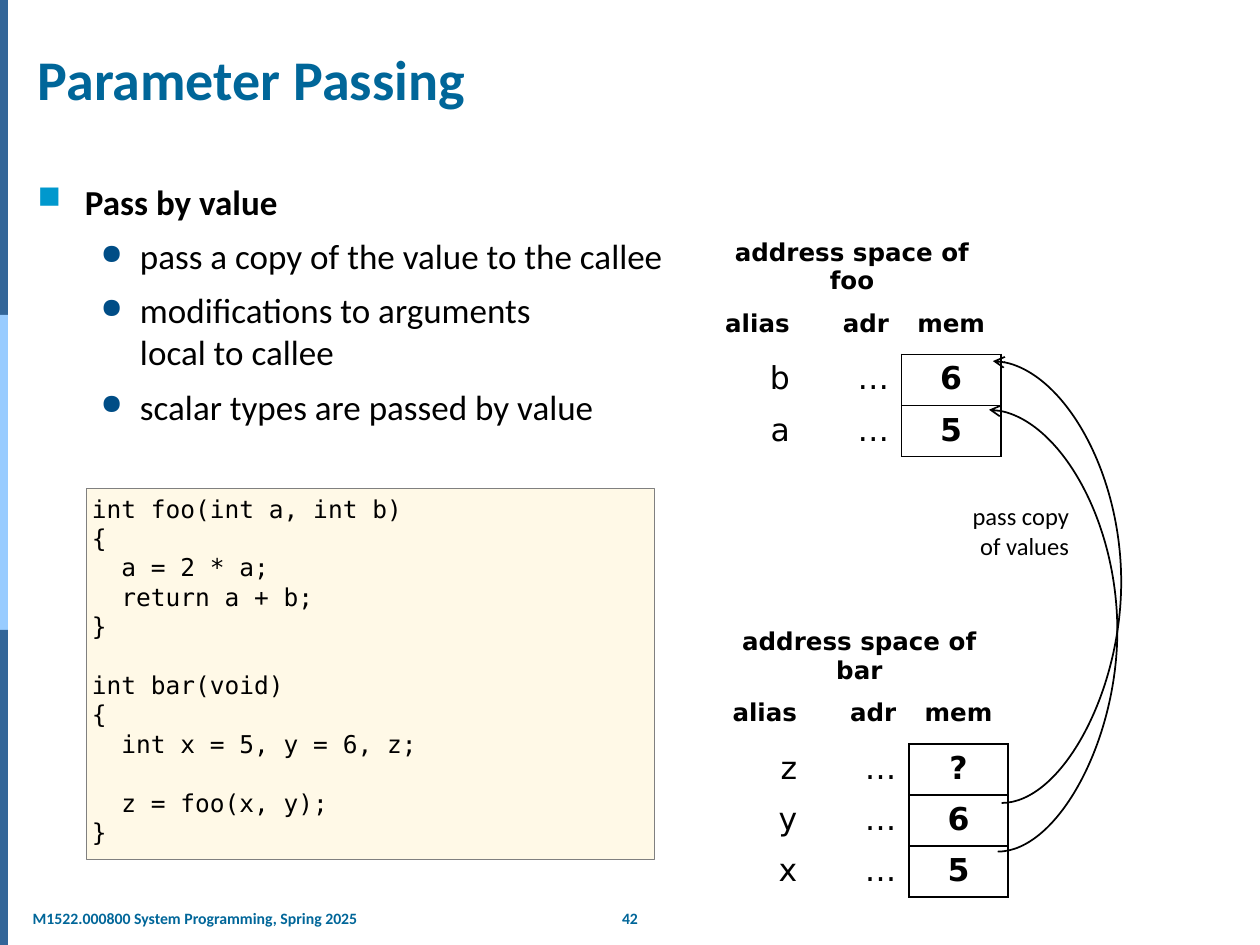
from lxml.etree import SubElement
from pptx import Presentation
from pptx.dml.color import RGBColor
from pptx.enum.shapes import MSO_CONNECTOR, MSO_SHAPE
from pptx.enum.text import MSO_ANCHOR, MSO_AUTO_SIZE, PP_ALIGN
from pptx.oxml.ns import qn
from pptx.util import Pt

BLACK, TEAL = "000000", "006699"
LEFT, CENTER, RIGHT = PP_ALIGN.LEFT, PP_ALIGN.CENTER, PP_ALIGN.RIGHT


def rgb(color):
    return RGBColor.from_string(color)


def write(paragraph, text, size, font="Calibri", color=BLACK, bold=False, align=LEFT):
    paragraph.alignment = align
    for number, line in enumerate(text.split("\n")):
        if number:
            paragraph.add_line_break()
        run = paragraph.add_run()
        run.text = line
        run.font.size = Pt(size)
        run.font.name = font
        run.font.bold = bold
        run.font.color.rgb = rgb(color)


deck = Presentation()
deck.slide_width, deck.slide_height = Pt(720), Pt(540)
slide = deck.slides.add_slide(deck.slide_layouts[5])
shapes = slide.shapes

# Coloured strip on the left edge
for part, color in enumerate(["336699", "99CCFF", "336699"]):
    strip = shapes.add_shape(MSO_SHAPE.RECTANGLE, 0, Pt(180 * part), Pt(4.5), Pt(180))
    strip.shadow.inherit = False
    strip.fill.solid()
    strip.fill.fore_color.rgb = rgb(color)
    strip.line.fill.background()

# Title
title = shapes.title
title.left, title.top, title.width, title.height = Pt(14.4), Pt(22.5), Pt(694.8), Pt(45)
title.text_frame.vertical_anchor = MSO_ANCHOR.BOTTOM
title.text_frame.auto_size = MSO_AUTO_SIZE.NONE
write(title.text_frame.paragraphs[0], "Parameter Passing", 32, color=TEAL, bold=True)

# Footer, page number and the label beside the arrows
for text, left, top, width, height, inset, size, color, bold, align in [
    ("M1522.000800 System Programming, Spring 2025",
     14.4, 515.5, 195.8, 18, 4.3, 9, TEAL, True, LEFT),
    ("42", 347, 515.5, 26, 18, 7.2, 9, TEAL, True, CENTER),
    ("pass copy\nof values", 548, 283, 70, 41, 7.2, 14, BLACK, False, RIGHT),
]:
    label = shapes.add_textbox(Pt(left), Pt(top), Pt(width), Pt(height)).text_frame
    label.word_wrap = False
    label.margin_left = label.margin_right = Pt(inset)
    write(label.paragraphs[0], text, size, color=color, bold=bold, align=align)

# Bullet points
points = shapes.add_textbox(Pt(14.4), Pt(99.4), Pt(694.8), Pt(411)).text_frame
points.word_wrap = True
for number, (level, text) in enumerate([
    (0, "Pass by value"),
    (1, "pass a copy of the value to the callee"),
    (1, "modifications to arguments\nlocal to callee"),
    (1, "scalar types are passed by value"),
]):
    point = points.add_paragraph() if number else points.paragraphs[0]
    point.level = level
    point.space_before = Pt(7 if number else 0)
    indent, hanging, bullet, color, percent = [
        (27, 27, "■", "0098CD", 90),
        (58.5, 22.5, "●", "004D86", 80),
    ][level]
    write(point, text, 20, bold=level == 0)
    properties = point._p.get_or_add_pPr()
    properties.set("marL", str(Pt(indent)))
    properties.set("indent", str(-Pt(hanging)))
    bullet_color = SubElement(properties, qn("a:buClr"))
    SubElement(bullet_color, qn("a:srgbClr"), val=color)
    SubElement(properties, qn("a:buSzPct"), val=str(percent * 1000))
    SubElement(properties, qn("a:buChar"), char=bullet)

# Code listing
code = """int foo(int a, int b)
{
  a = 2 * a;
  return a + b;
}

int bar(void)
{
  int x = 5, y = 6, z;

  z = foo(x, y);
}"""
listing = shapes.add_shape(MSO_SHAPE.RECTANGLE, Pt(49.5), Pt(279), Pt(324.5), Pt(212))
listing.shadow.inherit = False
listing.fill.solid()
listing.fill.fore_color.rgb = rgb("FFF9E7")
listing.line.color.rgb = rgb("808080")
listing.line.width = Pt(0.5)
frame = listing.text_frame
frame.word_wrap = True
frame.vertical_anchor = MSO_ANCHOR.TOP
frame.margin_left = frame.margin_right = frame.margin_top = frame.margin_bottom = Pt(3)
paragraph, gap = frame.paragraphs[0], 0
for number, line in enumerate(code.split("\n")):
    if not line:
        gap = 16.8
        continue
    if number:
        paragraph = frame.add_paragraph()
    paragraph.space_before = Pt(gap)
    write(paragraph, line, 14, "DejaVu Sans Mono")
    gap = 0

# Address space tables
for function, left, top, variables in [
    ("bar", 406, 355, [("z", "?"), ("y", "6"), ("x", "5")]),
    ("foo", 401.8, 132.5, [("b", "6"), ("a", "5")]),
]:
    rows = [(f"address space of {function}", "", ""), ("alias", "adr", "mem")]
    rows += [(alias, "…", value) for alias, value in variables]
    memory = shapes.add_table(len(rows), 3, Pt(left), Pt(top),
                              Pt(170.1), Pt(29.2 * len(rows))).table
    memory.first_row = memory.horz_banding = False
    for column in memory.columns:
        column.width = Pt(56.7)
    memory.cell(0, 0).merge(memory.cell(0, 2))
    for y, row in enumerate(rows):
        memory.rows[y].height = Pt(29.2)
        for x, text in enumerate(row):
            cell = memory.cell(y, x)
            heading = y < 2
            if text:
                write(cell.text_frame.paragraphs[0], text, 14 if heading else 18,
                      "DejaVu Sans", bold=heading or x == 2,
                      align=CENTER if y == 0 or x == 2 else RIGHT)
            # Only the memory cells are framed, shared edges included
            if x == 2 and y > 1:
                framed = "LRTB"
            else:
                framed = {(1, 2): "B"}.get((y, x), "R" if x == 1 and y > 1 else "")
            for side in "LRTB":
                edge = SubElement(cell._tc.get_or_add_tcPr(), qn(f"a:ln{side}"),
                                  w=str(Pt(1)))
                if side in framed:
                    edge_fill = SubElement(edge, qn("a:solidFill"))
                    SubElement(edge_fill, qn("a:srgbClr"), val=BLACK)
                else:
                    SubElement(edge, qn("a:noFill"))
            cell.fill.background()

# Curved arrows from the arguments to their copies
reach, shift = 68.5, 5
for start_x, start_y in [(570.2, 486.7), (572.4, 458.9)]:
    arrow = shapes.add_connector(MSO_CONNECTOR.CURVE, Pt(start_x), Pt(start_y),
                                 Pt(start_x - shift), Pt(start_y - 252.5))
    arrow.line.color.rgb = rgb(BLACK)
    arrow.line.width = Pt(1)
    SubElement(arrow.line._get_or_add_ln(), qn("a:tailEnd"), type="arrow")
    SubElement(arrow._element.spPr, qn("a:effectLst"))
    adjustments = arrow._element.spPr.find(qn("a:prstGeom")).get_or_add_avLst()
    SubElement(adjustments, qn("a:gd"), name="adj1",
               fmla=f"val {round(-reach / shift * 100000)}")

deck.save("out.pptx")
